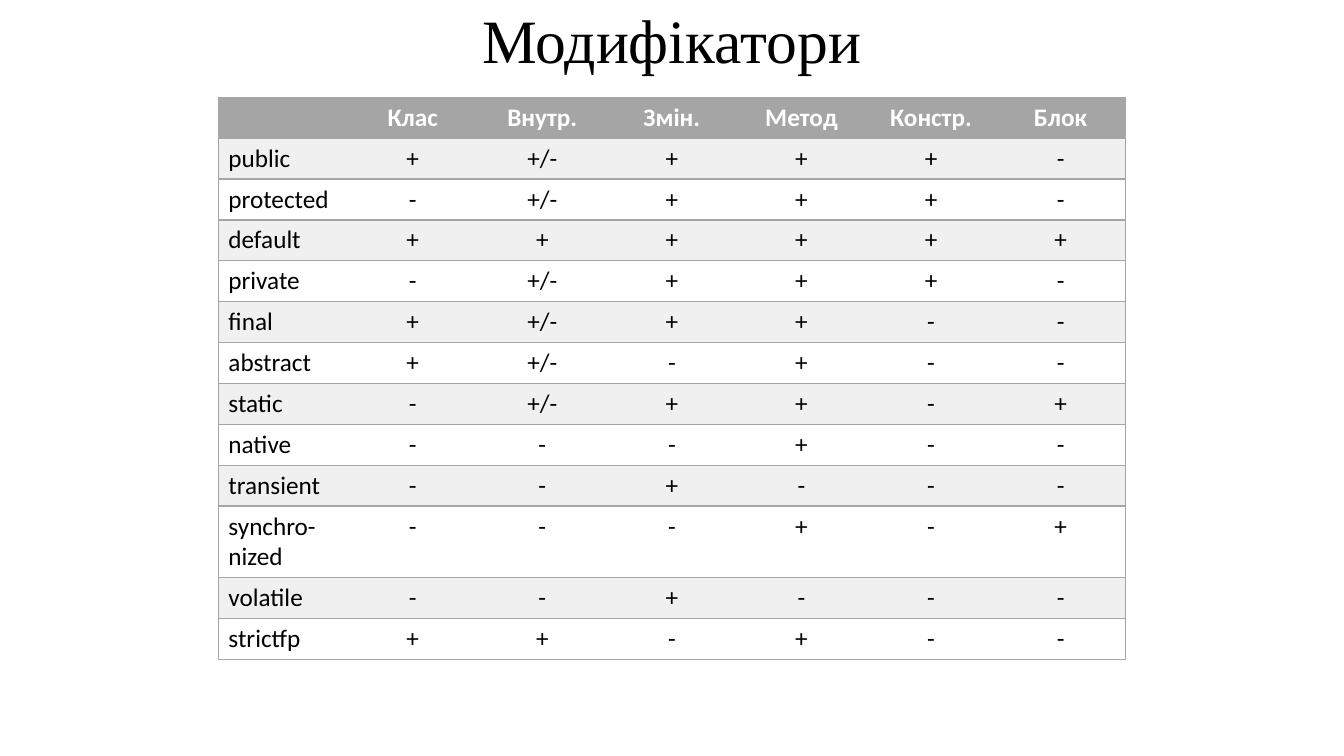
from lxml import etree
from pptx import Presentation
from pptx.dml.color import RGBColor
from pptx.enum import text
from pptx.oxml import ns
from pptx.util import Pt

TITLE = "Модифікатори"
HEADER = ["", "Клас", "Внутр.", "Змін.", "Метод", "Констр.", "Блок"]
MODIFIERS = [
    ("public", "+", "+/-", "+", "+", "+", "-"),
    ("protected", "-", "+/-", "+", "+", "+", "-"),
    ("default", "+", "+", "+", "+", "+", "+"),
    ("private", "-", "+/-", "+", "+", "+", "-"),
    ("final", "+", "+/-", "+", "+", "-", "-"),
    ("abstract", "+", "+/-", "-", "+", "-", "-"),
    ("static", "-", "+/-", "+", "+", "-", "+"),
    ("native", "-", "-", "-", "+", "-", "-"),
    ("transient", "-", "-", "+", "-", "-", "-"),
    ("synchro-nized", "-", "-", "-", "+", "-", "+"),
    ("volatile", "-", "-", "+", "-", "-", "-"),
    ("strictfp", "+", "+", "-", "+", "-", "-"),
]

BLACK = RGBColor(0, 0, 0)
WHITE = RGBColor(255, 255, 255)
GRAY = RGBColor(0xA5, 0xA5, 0xA5)
BAND = RGBColor(0xF0, 0xF0, 0xF0)

PAGE_WIDTH, PAGE_HEIGHT = 960, 540
TITLE_HEIGHT = 62.5
TABLE_WIDTH, TABLE_TOP = 648, 69.5
ROW_HEIGHT = 29.2


def add_span(para, words, font, size, color, bold=False):
    span = para.add_run()
    span.text = words
    span.font.name = font
    span.font.size = Pt(size)
    span.font.color.rgb = color
    span.font.bold = bold


def set_border(cell, side, visible):
    props = cell._tc.get_or_add_tcPr()
    line = etree.SubElement(props, ns.qn(f"a:ln{side}"), w=str(Pt(1)))
    if visible:
        fill = etree.SubElement(line, ns.qn("a:solidFill"))
        etree.SubElement(fill, ns.qn("a:srgbClr"), val=str(GRAY))
    else:
        etree.SubElement(line, ns.qn("a:noFill"))


def add_title(page):
    title = page.shapes.title
    title.left, title.top = Pt(0), Pt(0)
    title.width, title.height = Pt(PAGE_WIDTH), Pt(TITLE_HEIGHT)
    title.text_frame.vertical_anchor = text.MSO_ANCHOR.MIDDLE
    para = title.text_frame.paragraphs[0]
    para.alignment = text.PP_ALIGN.CENTER
    para.line_spacing = 0.9
    add_span(para, TITLE, "Times New Roman", 44, BLACK)


def fill_cell(cell, row, col, words):
    is_header = row == 0
    last_col = len(HEADER) - 1
    borders = {"L": col == 0, "R": col == last_col, "T": True, "B": True}
    for side, visible in borders.items():
        set_border(cell, side, visible)
    cell.fill.solid()
    cell.fill.fore_color.rgb = GRAY if is_header else BAND if row % 2 else WHITE
    para = cell.text_frame.paragraphs[0]
    para.alignment = text.PP_ALIGN.CENTER if col else text.PP_ALIGN.LEFT
    if words:
        add_span(para, words, "Calibri", 18, WHITE if is_header else BLACK, is_header)


def add_modifiers(page):
    rows = [HEADER, *MODIFIERS]
    left = (PAGE_WIDTH - TABLE_WIDTH) / 2
    table = page.shapes.add_table(
        len(rows), len(HEADER), Pt(left), Pt(TABLE_TOP),
        Pt(TABLE_WIDTH), Pt(ROW_HEIGHT * len(rows))).table
    for column in table.columns:
        column.width = Pt(TABLE_WIDTH / len(HEADER))
    for row, values in enumerate(rows):
        table.rows[row].height = Pt(ROW_HEIGHT)
        for col, words in enumerate(values):
            fill_cell(table.cell(row, col), row, col, words)


def main():
    deck = Presentation()
    deck.slide_width, deck.slide_height = Pt(PAGE_WIDTH), Pt(PAGE_HEIGHT)
    page = deck.slides.add_slide(deck.slide_layouts[5])
    add_title(page)
    add_modifiers(page)
    deck.save("out.pptx")


if __name__ == "__main__":
    main()
